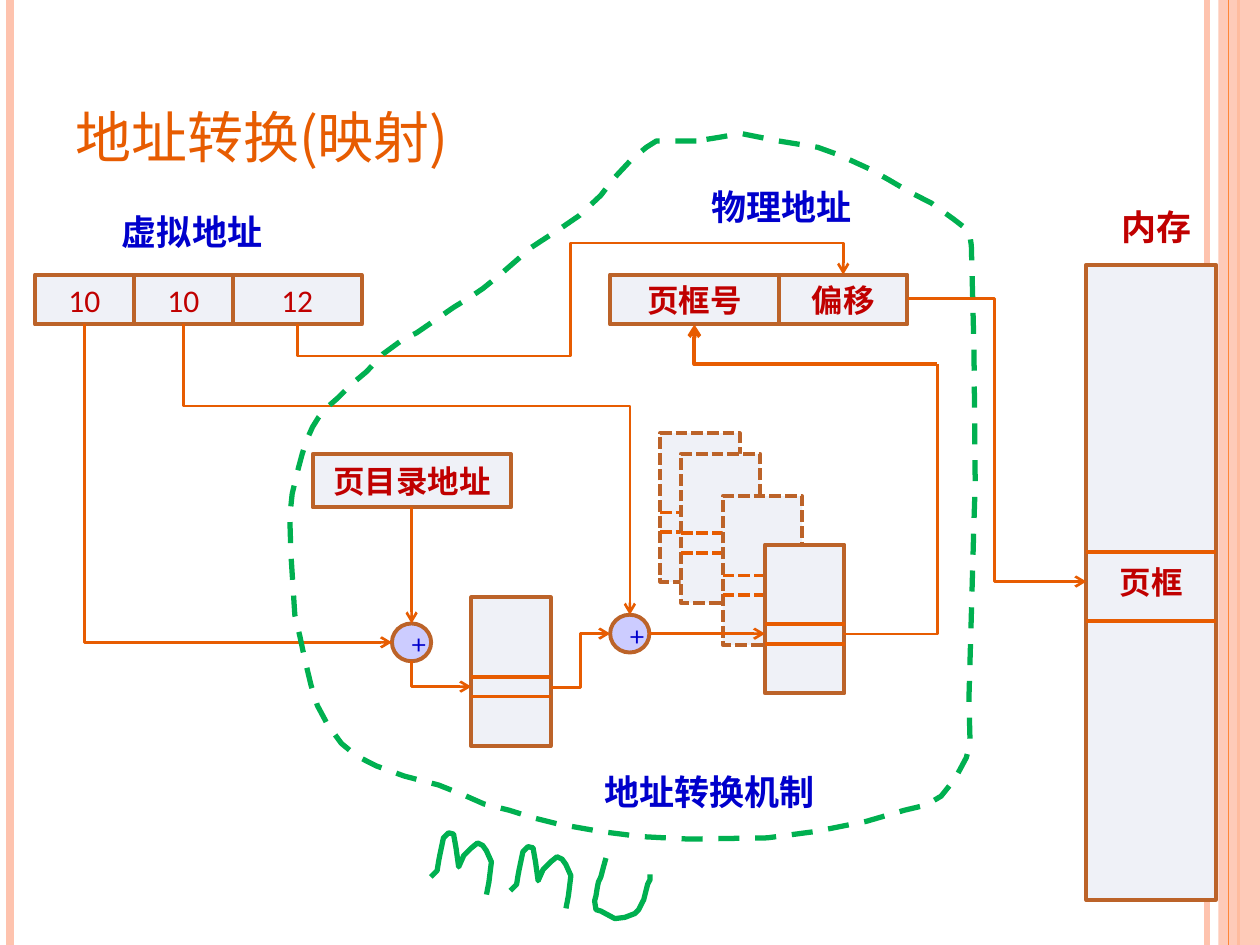
from pptx import Presentation
from pptx.dml.color import RGBColor
from pptx.enum.dml import MSO_LINE
from pptx.enum.shapes import MSO_CONNECTOR, MSO_SHAPE
from pptx.enum.text import MSO_ANCHOR, PP_ALIGN
from pptx.oxml.ns import qn
from pptx.util import Pt
from lxml.etree import SubElement

ORANGE = RGBColor(0xE7, 0x5C, 0x01)
BROWN = RGBColor(0xBC, 0x63, 0x29)
PALE = RGBColor(0xEF, 0xF1, 0xF7)
LILAC = RGBColor(0xCC, 0xCC, 0xFF)
RED = RGBColor(0xC0, 0x00, 0x00)
BLUE = RGBColor(0x00, 0x00, 0xCC)
GREEN = RGBColor(0x00, 0xB0, 0x50)
PEACH = RGBColor(0xFE, 0xC3, 0xAE)
STRIPE = RGBColor(0xFE, 0x86, 0x37)
CJK_FONT = "Noto Sans CJK SC"

# Closed boundary of the translation mechanism, in points
BOUNDARY = [
    (398, 80.6), (375.1, 80.6), (369.4, 84.2), (360.7, 91.4), (350.6, 102.2),
    (343.4, 111.6), (331.2, 123.1), (319.7, 131), (309.6, 137.5), (303.1, 141.8),
    (297.4, 146.9), (285.8, 157), (276, 164.9), (268.6, 169.9), (259.2, 175.7),
    (249.8, 182.2), (238.3, 190.1), (229.7, 194.4), (218.9, 202.3), (209.5, 212.4),
    (200.9, 219.6), (193, 227.5), (187.2, 232.6), (182.2, 238.3), (178.6, 244.1),
    (175.7, 250.6), (172.8, 259.2), (169.9, 270), (167, 282.2), (165.6, 295.2),
    (166.3, 316.8), (168.5, 351.4), (171.4, 363.6), (174.2, 376.8), (177.8, 391.7),
    (181.4, 403.2), (187.2, 414), (195.1, 424.8), (203.8, 432), (215.3, 437.8),
    (231.1, 443.5), (250.6, 448.6), (265, 454.3), (276.5, 459.4), (290.9, 463),
    (304.6, 467.3), (319, 470.9), (343.4, 475.2), (366.5, 478.1), (393.8, 479.5),
    (438.5, 478.8), (465.8, 475.2), (495, 469.4), (517, 463), (529.2, 460.1),
    (537.8, 455), (545.8, 445), (552.2, 433), (554.4, 424.8), (553.7, 399.6),
    (555.1, 351.4), (556.6, 298), (557.3, 276.5), (556.6, 199.4), (555.1, 140.4),
    (554.4, 135.4), (551.5, 130.3), (545, 125.3), (532, 115.9), (520.6, 110.2),
    (508.3, 103), (496.8, 96.5), (479.5, 88.6), (467.3, 84.2), (445, 80.6),
    (423.4, 76.3), (411, 78.5), (398, 80.6)]
LETTER_M = [
    (246.2, 501.1), (249.8, 497.5), (250.6, 492.5), (251.3, 488.9), (253.4, 478.8),
    (256.3, 475.9), (259.2, 476.6), (260.6, 484.6), (262.1, 495.4), (265, 488.9),
    (269.3, 484.6), (272.9, 481.7), (275.8, 483.1), (277.9, 486), (280.8, 492.5),
    (279.4, 504), (278, 511.2)]
LETTER_U = [
    (346.3, 490.3), (344.9, 495.4), (343.4, 501.1), (342, 504), (341.3, 507.6),
    (340.6, 511.9), (339.8, 514.8), (340.6, 519.8), (343.4, 520.6), (351.4, 524.9),
    (357.1, 524.2), (362.9, 522), (365, 519.8), (367.9, 514.1), (370.1, 505.4),
    (371.5, 502.6), (371.5, 499.7)]


class Diagram:
    """Holds the slide and draws each kind of element in its style."""

    def __init__(self, slide):
        self.slide = slide
        self.shapes = slide.shapes

    def set_text(self, frame, text, size, color, font="Calibri", bold=False, align=None):
        paragraph = frame.paragraphs[0]
        paragraph.text = text
        paragraph.alignment = align
        style = paragraph.font
        style.name, style.size, style.bold = font, Pt(size), bold
        style.color.rgb = color
        properties = paragraph._p.pPr.find(qn("a:defRPr"))
        SubElement(properties, qn("a:ea"), typeface=CJK_FONT)
        return properties

    def title(self, text, left, top, width, height):
        title = self.shapes.title
        title.left, title.top, title.width, title.height = map(Pt, (left, top, width, height))
        title.text_frame.vertical_anchor = MSO_ANCHOR.BOTTOM
        properties = self.set_text(title.text_frame, text, 40, ORANGE, CJK_FONT,
                                   align=PP_ALIGN.LEFT)
        properties.set("cap", "small")

    def label(self, text, left, top, width, color=BLUE):
        box = self.shapes.add_textbox(Pt(left), Pt(top), Pt(width), Pt(31.7))
        box.text_frame.word_wrap = False
        self.set_text(box.text_frame, text, 20, color, bold=True)

    def box(self, left, top, width, height, text="", bold=True, fill=PALE, line=BROWN,
            kind=MSO_SHAPE.RECTANGLE, dash=None, color=RED, font="Calibri"):
        shape = self.shapes.add_shape(kind, Pt(left), Pt(top), Pt(width), Pt(height))
        shape.shadow.inherit = False
        shape.fill.solid()
        shape.fill.fore_color.rgb = fill
        if line is None:
            shape.line.fill.background()
        else:
            self.stroke(shape.line, line, 2.25, dash)
        if text:
            shape.text_frame.vertical_anchor = MSO_ANCHOR.MIDDLE
            self.set_text(shape.text_frame, text, 18, color, font, bold, PP_ALIGN.CENTER)
        return shape

    def adder(self, left, top):
        self.box(left, top, 22.4, 21.6, "+", False, LILAC, kind=MSO_SHAPE.OVAL,
                 color=BLUE, font="Cambria")

    def page_table(self, left, top, dash=None):
        self.box(left, top, 45.4, 85, dash=dash)
        for offset in (45.4, 56.7):
            y = top + offset
            self.line((left, y), (left + 45.4, y), 2.25, dash=dash)

    def stroke(self, line, color, width, dash=None, arrow=False):
        line.color.rgb = color
        line.width = Pt(width)
        if dash:
            line.dash_style = dash
        if arrow:
            SubElement(line._get_or_add_ln(), qn("a:tailEnd"), type="arrow")

    def line(self, start, end, width=1.5, color=ORANGE, dash=None, arrow=False,
             kind=MSO_CONNECTOR.STRAIGHT):
        connector = self.shapes.add_connector(kind, *map(Pt, (*start, *end)))
        self.stroke(connector.line, color, width, dash, arrow)
        SubElement(connector._element.spPr, qn("a:effectLst"))
        return connector

    def elbow(self, start, end, bends, turn=0, adjust=(), width=1.5, arrow=True):
        """Bent connector; turn is its rotation in degrees, adjust is in 1/100000."""
        (x1, y1), (x2, y2) = start, end
        dx, dy = x2 - x1, y2 - y1
        dx, dy = {0: (dx, dy), 90: (dy, -dx), 180: (-dx, -dy), 270: (-dy, dx)}[turn]
        left, top = (x1 + x2 - abs(dx)) / 2, (y1 + y2 - abs(dy)) / 2
        connector = self.line((left, top), (left + abs(dx), top + abs(dy)), width,
                              arrow=arrow, kind=MSO_CONNECTOR.ELBOW)
        properties = connector._element.spPr
        frame = properties.find(qn("a:xfrm"))
        frame.set("rot", str(turn * 60000))
        frame.set("flipH", str(int(dx < 0)))
        frame.set("flipV", str(int(dy < 0)))
        geometry = properties.find(qn("a:prstGeom"))
        geometry.set("prst", f"bentConnector{bends + 1}")
        for number, value in enumerate(adjust, 1):
            SubElement(geometry.find(qn("a:avLst")), qn("a:gd"),
                       name=f"adj{number}", fmla=f"val {value}")

    def ink(self, points, dx=0, dy=0, dash=None):
        points = [(Pt(x + dx), Pt(y + dy)) for x, y in points]
        builder = self.shapes.build_freeform(*points[0])
        builder.add_line_segments(points[1:], close=False)
        shape = builder.convert_to_shape()
        shape.shadow.inherit = False
        shape.fill.background()
        self.stroke(shape.line, GREEN, 3, dash)


def main():
    presentation = Presentation()
    presentation.slide_width, presentation.slide_height = Pt(720), Pt(540)
    diagram = Diagram(presentation.slides.add_slide(presentation.slide_layouts[5]))

    # Side stripes
    for x, width, color in ((689.8, 3, PEACH), (5.8, 4.5, PEACH), (707.8, 1.5, STRIPE)):
        diagram.line((x, 0), (x, 540), width, color)
    band = diagram.box(696.2, 0, 23.8, 540, fill=PEACH, line=None)
    band_color = band._element.spPr.find(qn("a:solidFill")).find(qn("a:srgbClr"))
    SubElement(band_color, qn("a:alpha"), val="87000")
    diagram.line((702, 0), (702, 540), 0.75, STRIPE)

    diagram.title("地址转换(映射)", 36, 21.6, 588.2, 80.6)

    # Virtual and physical address fields
    for left, width, text, bold in (
            (19.9, 56.6, "10", False), (76.5, 56.6, "10", False), (133.1, 73.6, "12", False),
            (348.5, 96.5, "页框号", True), (445, 73.6, "偏移", True)):
        diagram.box(left, 157, width, 28.4, text, bold)

    # Page directory and page tables
    diagram.page_table(269.3, 341.3)
    for left, top in ((377.3, 247.5), (389, 259.4), (413, 283.5)):
        diagram.page_table(left, top, MSO_LINE.SQUARE_DOT)
    diagram.page_table(437.2, 311.2)
    diagram.box(178.7, 259.4, 113.2, 30.6, "页目录地址")

    # Memory with its page frame
    diagram.box(620.8, 151.3, 73.9, 363, "页框")
    for y in (315.5, 355):
        diagram.line((620.8, y), (694.7, y), 2.25)

    # Adders and data paths
    diagram.adder(224, 356.3)
    diagram.adder(348.7, 351.3)
    diagram.line((235.2, 290), (235.2, 356.3), arrow=True)
    diagram.line((371.1, 362.1), (437.2, 362.1), arrow=True)
    diagram.elbow((48.2, 185.4), (224, 367.1), 1, 270)
    diagram.elbow((235.2, 377.9), (269.3, 392.4), 1, 270)
    diagram.elbow((314.7, 393), (348.7, 362.1), 2)
    diagram.elbow((169.9, 185.4), (481.8, 157), 4, 90, (-63500, 50000, 163500))
    diagram.elbow((482.6, 361.5), (535.7, 208.1), 2, 90, (-600,), arrow=False)
    diagram.elbow((535.7, 208.1), (396.8, 185.4), 1, 180, width=2.25)
    diagram.elbow((518.6, 170.7), (620.8, 332.3), 2, 0, (48700,))
    diagram.elbow((104.8, 185.4), (359.9, 351.3), 2, 270, (28100,))

    # Labels
    diagram.label("虚拟地址", 62.6, 116.6, 95)
    diagram.label("物理地址", 399.6, 102.2, 95)
    diagram.label("内存", 633.6, 113.8, 54.7, RED)
    diagram.label("地址转换机制", 338.4, 437, 135.4)

    # Hand-drawn boundary and the letters MMU
    diagram.ink(BOUNDARY, dash=MSO_LINE.DASH)
    diagram.ink(LETTER_M)
    diagram.ink(LETTER_M, 45.4, 7.9)
    diagram.ink(LETTER_U)

    presentation.save("out.pptx")


if __name__ == "__main__":
    main()
